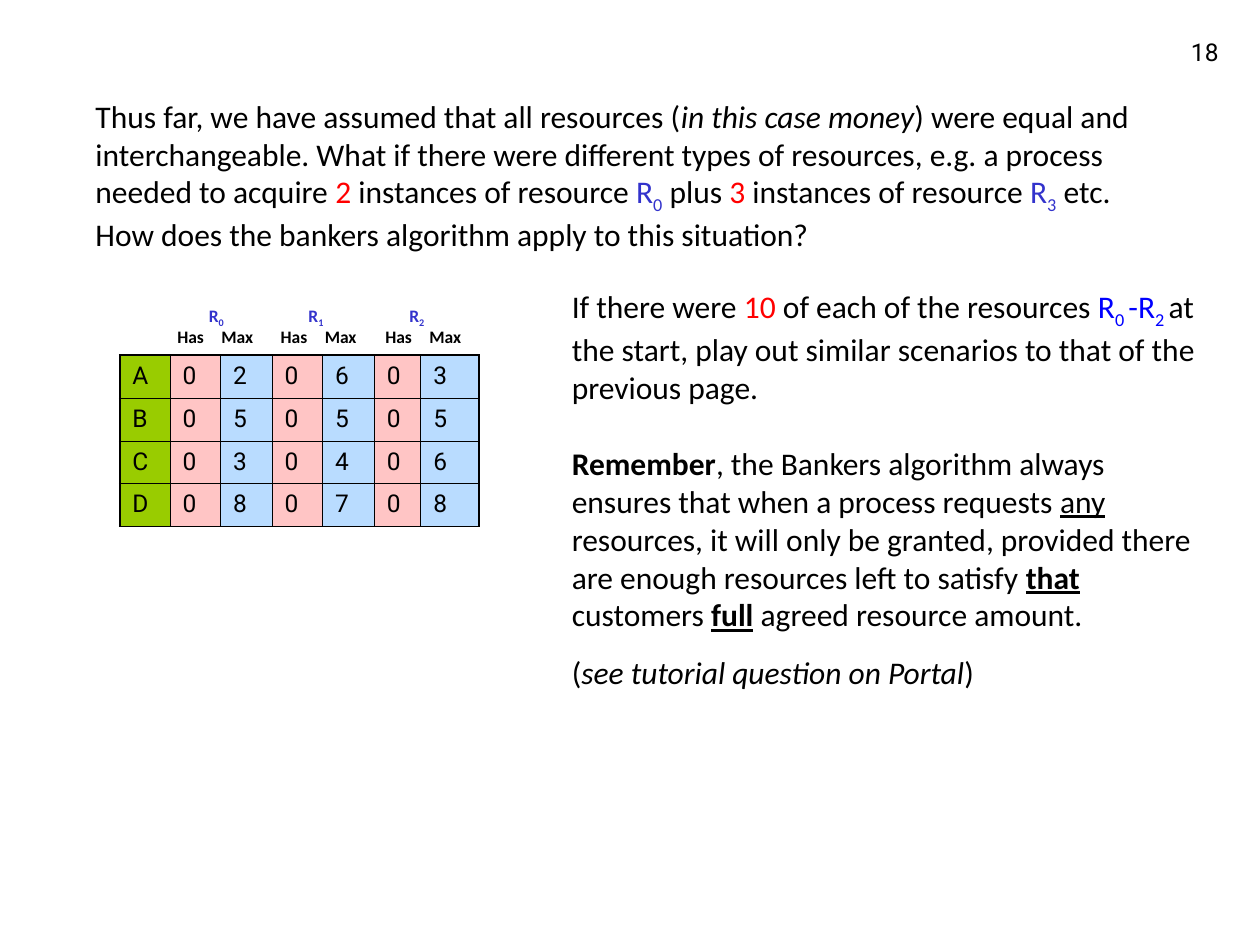
"""Build the slide on the bankers algorithm with several resource types."""
from lxml.etree import SubElement
from pptx import Presentation
from pptx.dml.color import RGBColor
from pptx.enum.text import MSO_ANCHOR, MSO_AUTO_SIZE as AutoSize, PP_ALIGN
from pptx.oxml.ns import qn
from pptx.util import Inches, Pt

COLORS = {
    "black": "000000", "red": "FF0000", "indigo": "3333CC", "blue": "0000FF",
    "process": "99CC00", "has": "FFC5C5", "max": "B9DCFF",
}


class SlideWriter:
    """Hold the slide and its style, and add each kind of element."""

    def __init__(self, slide, body_font, number_font):
        self.slide = slide
        self.body_font = body_font
        self.number_font = number_font

    def color(self, name):
        return RGBColor.from_string(COLORS[name])

    def style(self, run, font, size, marks=""):
        marks = marks.split()
        run.font.name = font
        run.font.size = Pt(size)
        run.font.bold = "bold" in marks
        run.font.italic = "italic" in marks
        run.font.underline = "underline" in marks
        name = next((mark for mark in marks if mark in COLORS), "black")
        run.font.color.rgb = self.color(name)
        if "sub" in marks:
            run.font._element.set("baseline", "-25000")

    def text(self, box, paragraphs, size, gaps, font=None):
        shape = self.slide.shapes.add_textbox(*map(Inches, box))
        frame = shape.text_frame
        frame.word_wrap = True
        frame.auto_size = AutoSize.SHAPE_TO_FIT_TEXT
        for index, (pieces, gap) in enumerate(zip(paragraphs, gaps)):
            paragraph = frame.add_paragraph() if index else frame.paragraphs[0]
            paragraph.space_before = Pt(gap)
            for words, marks in pieces:
                run = paragraph.add_run()
                run.text = words
                self.style(run, font or self.body_font, size, marks)
        return frame

    def border(self, cell, side, width):
        line = SubElement(cell._tc.get_or_add_tcPr(), qn(f"a:ln{side}"), w=str(Pt(width)))
        fill = SubElement(line, qn("a:solidFill"))
        SubElement(fill, qn("a:srgbClr"), val=COLORS["black"])

    def table(self, left, top, widths, row_height, rows, fills):
        last_row, last_column = len(rows) - 1, len(widths) - 1
        frame = self.slide.shapes.add_table(
            len(rows), len(widths), Inches(left), Inches(top),
            Inches(sum(widths)), Inches(row_height * len(rows)))
        table = frame.table
        table.first_row = table.horz_banding = False
        for column, width in zip(table.columns, widths):
            column.width = Inches(width)
        for r, values in enumerate(rows):
            table.rows[r].height = Inches(row_height)
            for c, value in enumerate(values):
                cell = table.cell(r, c)
                outer = {"L": c == 0, "R": c == last_column, "T": r == 0, "B": r == last_row}
                for side, is_outer in outer.items():
                    self.border(cell, side, 1.08 if is_outer else 0.45)
                cell.fill.solid()
                cell.fill.fore_color.rgb = self.color(fills[c])
                paragraph = cell.text_frame.paragraphs[0]
                paragraph.text = str(value)
                paragraph.space_before = Pt(3.5)
                self.style(paragraph.runs[0], self.number_font, 14)


deck = Presentation()
deck.slide_width, deck.slide_height = Inches(10), Inches(7.5)
writer = SlideWriter(deck.slides.add_slide(deck.slide_layouts[6]), "Calibri", "Roboto")

page_number = writer.text((7.69, 0.08, 2.08, 0.5), [[("18", "")]], 14, [0], "Roboto")
page_number.auto_size = AutoSize.NONE
page_number.vertical_anchor = MSO_ANCHOR.BOTTOM
page_number.paragraphs[0].alignment = PP_ALIGN.RIGHT

question = [
    ("Thus far, we have assumed that all resources (", ""),
    ("in this case money", "italic"),
    (") were equal and interchangeable. What if there were different types of "
     "resources, e.g. a process needed to acquire ", ""),
    ("2", "red"), (" instances of resource ", ""),
    ("R", "indigo"), ("0", "indigo sub"), (" plus ", ""),
    ("3", "red"), (" instances of resource ", ""),
    ("R", "indigo"), ("3", "indigo sub"),
    (" etc. How does the bankers algorithm apply to this situation?", ""),
]
writer.text((0.66, 0.72, 8.7, 1.34), [question], 18, [11.2])

max_needs = {"A": (2, 6, 3), "B": (5, 5, 5), "C": (3, 4, 6), "D": (8, 7, 8)}
allocations = [
    [process] + [value for need in needs for value in (0, need)]
    for process, needs in max_needs.items()
]
writer.table(0.95, 2.82, [0.4] + [0.4, 0.41] * 2 + [0.37, 0.46], 0.34, allocations,
             ["process"] + ["has", "max"] * 3)

for resource, (has_left, name_left) in enumerate([(1.31, 1.56), (2.13, 2.35), (2.96, 3.15)]):
    for heading, left in (("Has", has_left), ("Max", has_left + 0.35)):
        writer.text((left, 2.54, 0.54, 0.27), [[(heading, "bold")]], 10, [6.2])
    resource_name = [("R", "bold indigo"), (str(resource), "bold indigo sub")]
    writer.text((name_left, 2.37, 0.54, 0.29), [resource_name], 10, [6.2])

scenario = [
    ("If there were ", ""), ("10", "red"), (" of each of the resources ", ""),
    ("R", "blue"), ("0 ", "blue sub"), ("-R", "blue"), ("2 ", "blue sub"),
    ("at the start, play out similar scenarios to that of the previous page.", ""),
]
reminder = [
    ("Remember", "bold"),
    (", the Bankers algorithm always ensures that when a process requests ", ""),
    ("any", "underline"),
    (" resources, it will only be granted, provided there are enough resources "
     "left to satisfy ", ""),
    ("that", "bold underline"), (" customers ", ""), ("full", "bold underline"),
    (" agreed resource amount.", ""),
]
tutorial = [("(", ""), ("see tutorial question on Portal", "italic"), (")", "")]
writer.text((4.44, 2.23, 5.2, 3.3), [scenario, reminder, tutorial], 18, [11.2, 22, 11.2])

deck.save("out.pptx")
